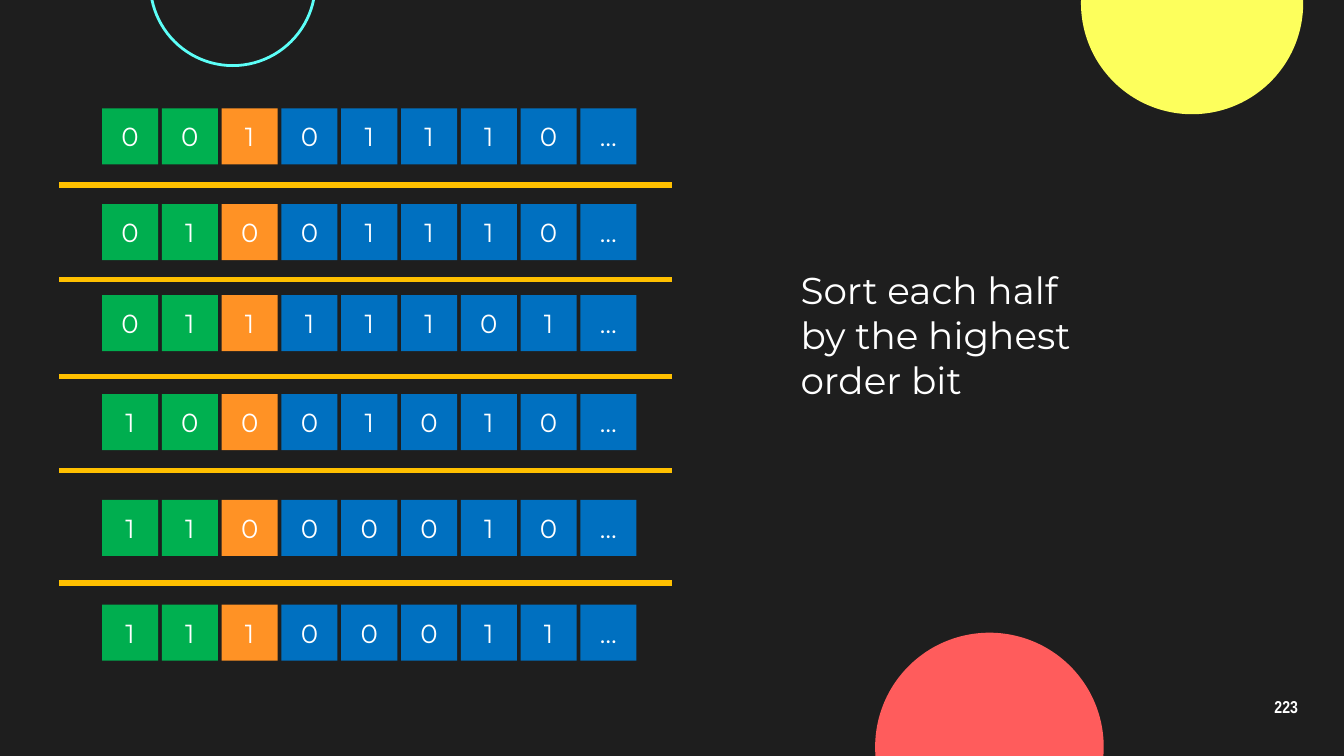
from pptx import Presentation
from pptx.dml.color import RGBColor
from pptx.enum.shapes import MSO_CONNECTOR as Connector, MSO_SHAPE as Shape
from pptx.enum.text import MSO_ANCHOR as Anchor, PP_ALIGN as Align
from pptx.oxml.ns import qn
from pptx.util import Cm, Pt
from lxml.etree import SubElement

COLORS = {
    "background": "1E1E1E",
    "text": "FFFFFF",
    "yellow": "FDFF5C",
    "cyan": "5CFFF8",
    "red": "FF5C5C",
    "first_bit": "00AE4F",
    "sorted_bit": "00B050",
    "current_bit": "FF9225",
    "other_bit": "0070C0",
    "divider": "FFC000",
}

CELL_FONT = {"name": "Montserrat", "size": Pt(14), "bold": False}
BODY_FONT = {"name": "Montserrat", "size": Pt(20), "bold": False}
NUMBER_FONT = {"name": "Arial Narrow", "size": Pt(9.2), "bold": True}

# Top of each row in cm, with its bits
ROWS = [
    (2.05, "00101110…"),
    (3.86, "01001110…"),
    (5.58, "01111101…"),
    (7.45, "10001010…"),
    (9.45, "11000010…"),
    (11.43, "11100011…"),
]
CELL_COLORS = ["first_bit", "sorted_bit", "current_bit"] + ["other_bit"] * 6
CELL_LEFT, CELL_SIZE, CELL_PITCH = 1.93, 1.06, 1.13
DIVIDER_TOPS = [3.5, 5.28, 7.12, 8.89, 11.02]
DIVIDER_LEFT, DIVIDER_RIGHT = 1.12, 12.7


class SlideBuilder:
    """Holds the colours and the current slide."""

    def __init__(self, page, colors):
        self.page = page
        self.colors = colors
        self.paint(page.background.fill, "background")

    def color(self, name):
        return RGBColor.from_string(self.colors[name])

    def paint(self, fill, name):
        fill.solid()
        fill.fore_color.rgb = self.color(name)

    def fill_text(self, frame, text, font, align):
        para = frame.paragraphs[0]
        para.alignment = align
        span = para.add_run()
        span.text = text
        for key, value in font.items():
            setattr(span.font, key, value)
        span.font.color.rgb = self.color("text")
        return para

    def circle(self, left, top, size, fill=None, outline=None):
        circle = self.page.shapes.add_shape(
            Shape.OVAL, Cm(left), Cm(top), Cm(size), Cm(size))
        circle.shadow.inherit = False
        if fill:
            self.paint(circle.fill, fill)
        else:
            circle.fill.background()
        if outline:
            self.paint(circle.line.fill, outline)
            circle.line.width = Pt(1.5)
        else:
            circle.line.fill.background()

    def bit_row(self, top, bits):
        row = self.page.shapes.add_group_shape()
        for index, (bit, color) in enumerate(zip(bits, CELL_COLORS)):
            cell = row.shapes.add_shape(
                Shape.RECTANGLE, Cm(CELL_LEFT + index * CELL_PITCH), Cm(top),
                Cm(CELL_SIZE), Cm(CELL_SIZE))
            cell.shadow.inherit = False
            self.paint(cell.fill, color)
            cell.line.fill.background()
            cell.text_frame.vertical_anchor = Anchor.MIDDLE
            self.fill_text(cell.text_frame, bit, CELL_FONT, Align.CENTER)

    def divider(self, top):
        line = self.page.shapes.add_connector(
            Connector.STRAIGHT, Cm(DIVIDER_LEFT), Cm(top),
            Cm(DIVIDER_RIGHT), Cm(top))
        self.paint(line.line.fill, "divider")
        line.line.width = Pt(3)
        SubElement(line._element.spPr, qn("a:effectLst"))

    def text(self, left, top, width, height, text, font,
             align=Align.LEFT, anchor=Anchor.TOP, spacing=1.0):
        box = self.page.shapes.add_textbox(
            Cm(left), Cm(top), Cm(width), Cm(height))
        frame = box.text_frame
        settings = {"word_wrap": True, "vertical_anchor": anchor}
        for side in ("left", "top", "right", "bottom"):
            settings[f"margin_{side}"] = Cm(0.25)
        for key, value in settings.items():
            setattr(frame, key, value)
        para = self.fill_text(frame, text, font, align)
        para.line_spacing = spacing


def main():
    deck = Presentation()
    deck.slide_width, deck.slide_height = Cm(25.4), Cm(14.29)
    page = deck.slides.add_slide(deck.slide_layouts[6])
    builder = SlideBuilder(page, COLORS)

    # Decorative circles
    builder.circle(20.43, -2.04, 4.2, fill="yellow")
    builder.circle(2.84, -1.88, 3.12, outline="cyan")
    builder.circle(16.54, 11.96, 4.32, fill="red")

    # Page number
    builder.text(23.55, 12.95, 1.52, 0.86, "223", NUMBER_FONT,
                 Align.CENTER, Anchor.MIDDLE, 0.9)

    # Rows of bits
    for top, bits in ROWS:
        builder.bit_row(top, bits)

    # Explanation
    builder.text(14.88, 4.8, 6.05, 1.3,
                 "Sort each half by the highest order bit", BODY_FONT)

    # Dividers between the rows
    for top in DIVIDER_TOPS:
        builder.divider(top)

    deck.save("out.pptx")


if __name__ == "__main__":
    main()
